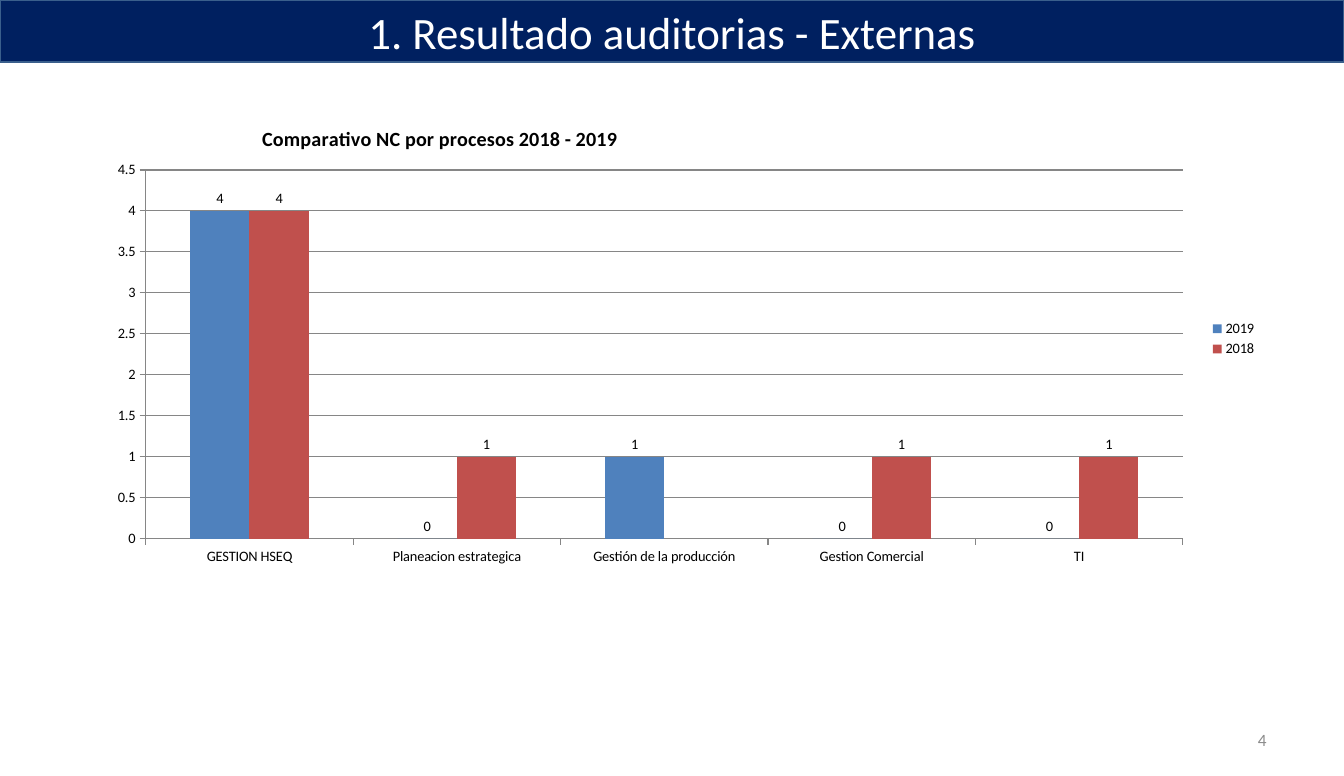
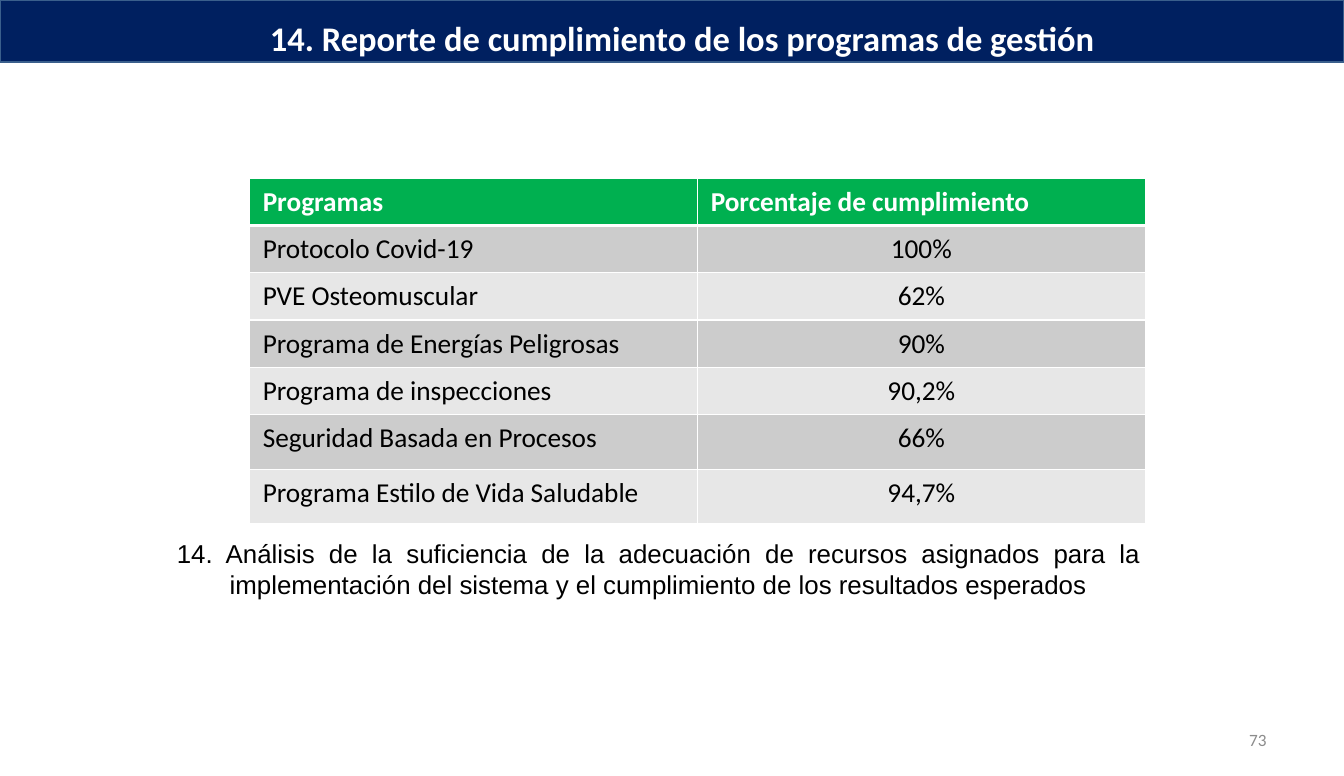
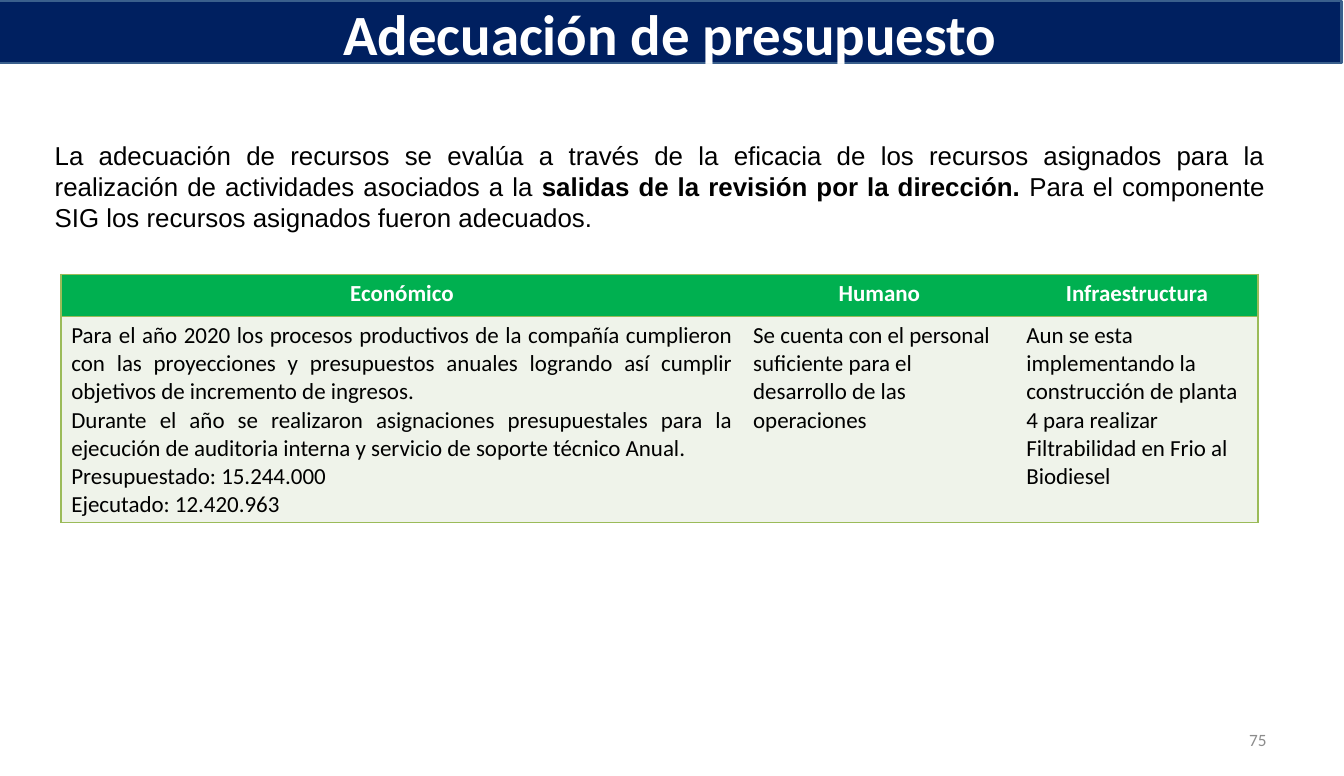
from lxml import etree
from pptx import Presentation
from pptx.chart.data import CategoryChartData
from pptx.dml.color import RGBColor
from pptx.enum.chart import (XL_CHART_TYPE, XL_LABEL_POSITION,
                             XL_LEGEND_POSITION, XL_TICK_MARK)
from pptx.enum.shapes import MSO_SHAPE
from pptx.enum.text import MSO_ANCHOR, PP_ALIGN
from pptx.oxml.ns import qn
from pptx.util import Inches, Pt

LEFT, CENTER, RIGHT, JUSTIFY = (PP_ALIGN.LEFT, PP_ALIGN.CENTER,
                                PP_ALIGN.RIGHT, PP_ALIGN.JUSTIFY)
TOP, MIDDLE = MSO_ANCHOR.TOP, MSO_ANCHOR.MIDDLE
COLUMNS = XL_CHART_TYPE.COLUMN_CLUSTERED
OUT_END = XL_LABEL_POSITION.OUTSIDE_END
LEGEND_RIGHT = XL_LEGEND_POSITION.RIGHT
TICK_OUT = XL_TICK_MARK.OUTSIDE

COLORS = {
    "navy": "002060", "band_line": "3A5F8C", "white": "FFFFFF",
    "black": "000000", "gray": "8C8C8C", "axis": "868686",
    "green": "00B050", "olive": "9BBB59", "pale": "EFF3EA",
    "row_dark": "CCCCCC", "row_light": "E7E7E7",
    "blue": "4F81BD", "red": "C0504D",
}
HEAD, BODY = "Calibri", "Arial"
SLIDE_W, SLIDE_H = 12.99, 7.5
NARROW, WIDE = (0.1, 0.05), (0.13, 0.07)


def rgb(name):
    return RGBColor.from_string(COLORS[name])


def style(font, size, color, name=HEAD, bold=False):
    font.size, font.name, font.bold = Pt(size), name, bold
    font.color.rgb = rgb(color)


def set_margins(target, inset):
    target.margin_left = target.margin_right = Inches(inset[0])
    target.margin_top = target.margin_bottom = Inches(inset[1])


# Shared parts
def add_text(s, box, runs, size, color, name=HEAD, align=LEFT,
             anchor=MIDDLE, inset=NARROW, hanging=0):
    """One paragraph made of (text, bold) runs."""
    tf = s.shapes.add_textbox(*map(Inches, box)).text_frame
    tf.word_wrap = True
    tf.vertical_anchor = anchor
    set_margins(tf, inset)
    p = tf.paragraphs[0]
    p.alignment = align
    if hanging:
        pPr = p._p.get_or_add_pPr()
        pPr.set("marL", str(Inches(hanging)))
        pPr.set("indent", str(-Inches(hanging)))
    for text, bold in runs:
        r = p.add_run()
        r.text = text
        style(r.font, size, color, name, bold)


def add_band(s, left=0, top=0):
    band = s.shapes.add_shape(MSO_SHAPE.RECTANGLE, Inches(left), Inches(top),
                              Inches(SLIDE_W), Inches(0.6))
    band.shadow.inherit = False
    band.fill.solid()
    band.fill.fore_color.rgb = rgb("navy")
    band.line.color.rgb = rgb("band_line")
    band.line.width = Pt(2)


def new_slide(prs, number, title, box, size, bold=True, align=CENTER,
              inset=NARROW, band=(0, 0)):
    s = prs.slides.add_slide(prs.slide_layouts[6])
    add_band(s, *band)
    add_text(s, box, [(title, bold)], size, "white", align=align, inset=inset)
    add_text(s, (9.31, 6.95, 3.03, 0.4), [(str(number), False)], 12, "gray",
             align=RIGHT)
    return s


# Tables
def set_borders(cell, borders):
    """Borders in the order left, right, top, bottom: (color, points) or None."""
    tcPr = cell._tc.get_or_add_tcPr()
    for side, border in zip("LRTB", borders):
        ln = etree.SubElement(tcPr, qn(f"a:ln{side}"))
        if border is None:
            etree.SubElement(ln, qn("a:noFill"))
            continue
        color, width = border
        ln.set("w", str(Pt(width)))
        fill = etree.SubElement(ln, qn("a:solidFill"))
        etree.SubElement(fill, qn("a:srgbClr")).set("val", COLORS[color])


def fill_cell(cell, lines, size, color, bold, align, fill, borders, inset):
    set_borders(cell, borders)
    cell.fill.solid()
    cell.fill.fore_color.rgb = rgb(fill)
    set_margins(cell, inset)
    cell.vertical_anchor = TOP
    cell.text_frame.text = lines
    for p in cell.text_frame.paragraphs:
        p.alignment = align
        for r in p.runs:
            style(r.font, size, color, bold=bold)


def add_grid(s, left, top, widths, heights):
    table = s.shapes.add_table(len(heights), len(widths), Inches(left),
                               Inches(top), Inches(sum(widths)),
                               Inches(sum(heights))).table
    table.first_row = table.horz_banding = False
    for column, width in zip(table.columns, widths):
        column.width = Inches(width)
    for row, height in zip(table.rows, heights):
        row.height = Inches(height)
    return table


def add_program_table(s, left, top, rows):
    heights = [0.46] + [0.45] * 4 + [0.53] * 2
    table = add_grid(s, left, top, [4.33, 4.33], heights)
    thin, thick = ("white", 1), ("white", 3)
    for i, row in enumerate(rows):
        head = i == 0
        fill = "green" if head else "row_dark" if i % 2 else "row_light"
        borders = (thin, thin, thick if i == 1 else thin,
                   thick if head else thin)
        for j, text in enumerate(row):
            fill_cell(table.cell(i, j), text, 19,
                      "white" if head else "black", head,
                      CENTER if j and not head else LEFT, fill, borders, WIDE)


def add_resource_table(s, left, top, rows):
    widths = [6.59, 2.64, 2.34]
    table = add_grid(s, left, top, widths, [0.41, 1.99])
    edge = ("olive", 1)
    for i, row in enumerate(rows):
        head = i == 0
        for j, text in enumerate(row):
            borders = (edge if j == 0 else None,
                       edge if j == len(widths) - 1 else None, edge, edge)
            align = CENTER if head else LEFT if j else JUSTIFY
            fill_cell(table.cell(i, j), text, 16,
                      "white" if head else "black", head, align,
                      "green" if head else "pale", borders, NARROW)


# Chart
def set_layout(parent, index, **values):
    """Place a chart part by fractions of the chart box."""
    for old in parent.findall(qn("c:layout")):
        parent.remove(old)
    layout = etree.Element(qn("c:layout"))
    manual = etree.SubElement(layout, qn("c:manualLayout"))
    for key, value in values.items():
        etree.SubElement(manual, qn(f"c:{key}")).set("val", str(value))
    parent.insert(index, layout)


def add_comparison_chart(s, box, title, cats, series):
    data = CategoryChartData()
    data.categories = cats
    for name, values, _ in series:
        data.add_series(name, values)
    chart = s.shapes.add_chart(COLUMNS, *map(Inches, box), data).chart
    style(chart.font, 10, "black")

    chart.has_title = True
    chart.chart_title.text_frame.text = title
    style(chart.chart_title.text_frame.paragraphs[0].runs[0].font, 14,
          "black", bold=True)
    set_layout(chart.chart_title._element, 1, xMode="edge", yMode="edge",
               x=0.14, y=0.04)
    set_layout(chart._chartSpace.chart.plotArea, 0, layoutTarget="inner",
               xMode="edge", yMode="edge", x=0.044, y=0.143, w=0.884, h=0.78)

    chart.has_legend = True
    chart.legend.position = LEGEND_RIGHT
    chart.legend.include_in_layout = False

    plot = chart.plots[0]
    plot.gap_width, plot.overlap = 150, 0
    plot.vary_by_categories = False
    plot.has_data_labels = True
    plot.data_labels.show_value = True
    plot.data_labels.position = OUT_END
    for bars, (_, _, color) in zip(plot.series, series):
        bars.format.fill.solid()
        bars.format.fill.fore_color.rgb = rgb(color)

    value_axis = chart.value_axis
    value_axis.minimum_scale, value_axis.maximum_scale = 0, 4.5
    value_axis.major_unit = 0.5
    value_axis.has_major_gridlines = True
    lines = [value_axis.major_gridlines.format.line]
    for axis in (value_axis, chart.category_axis):
        axis.major_tick_mark = TICK_OUT
        lines.append(axis.format.line)
    for line in lines:
        line.color.rgb = rgb("axis")
        line.width = Pt(0.75)


# Slides
def audit_slide(prs):
    s = new_slide(prs, 4, "1. Resultado auditorias - Externas",
                  (0.43, -0.11, 12.13, 0.83), 31.2, bold=False)
    add_comparison_chart(
        s, (0.91, 0.99, 11.34, 4.57), "Comparativo NC por procesos 2018 - 2019",
        ["GESTION HSEQ", "Planeacion estrategica", "Gestión de la producción",
         "Gestion Comercial", "TI"],
        [("2019", (4, 0, 1, 0, 0), "blue"),
         ("2018", (4, 1, None, 1, 1), "red")])


def program_slide(prs):
    s = new_slide(prs, 73,
                  "14. Reporte de cumplimiento de los programas de gestión",
                  (2.48, -0.12, 8.66, 0.97), 24, align=LEFT, inset=WIDE)
    add_text(s, (1.58, 5.01, 9.57, 0.97),
             [("14. Análisis de la suficiencia de la adecuación de recursos "
               "asignados para la implementación del sistema y el "
               "cumplimiento de los resultados esperados", False)],
             18, "black", BODY, JUSTIFY, inset=WIDE, hanging=0.51)
    add_program_table(s, 2.41, 1.72, [
        ("Programas", "Porcentaje de cumplimiento"),
        ("Protocolo Covid-19", "100%"),
        ("PVE Osteomuscular", "62%"),
        ("Programa de Energías Peligrosas", "90%"),
        ("Programa de inspecciones", "90,2%"),
        ("Seguridad Basada en Procesos", "66%"),
        ("Programa Estilo de Vida Saludable", "94,7%"),
    ])


def budget_slide(prs):
    s = new_slide(prs, 75, "Adecuación de presupuesto",
                  (0.63, 0.01, 11.69, 0.61), 39.6, band=(-0.02, 0.01))
    add_resource_table(s, 0.59, 2.65, [
        ("Económico", "Humano", "Infraestructura"),
        ("Para el año 2020 los procesos productivos de la compañía cumplieron "
         "con las proyecciones y presupuestos anuales logrando así cumplir "
         "objetivos de incremento de ingresos.\n"
         "Durante el año se realizaron asignaciones presupuestales para la "
         "ejecución de auditoria interna y servicio de soporte técnico Anual.\n"
         "Presupuestado: 15.244.000\n"
         "Ejecutado: 12.420.963",
         "Se cuenta con el personal suficiente para el desarrollo de las "
         "operaciones",
         "Aun se esta implementando la construcción de planta 4 para realizar "
         "Filtrabilidad en Frio al Biodiesel"),
    ])
    add_text(s, (0.43, 1.3, 11.89, 1.01),
             [("La adecuación de recursos se evalúa a través de la eficacia de "
               "los recursos asignados para la realización de actividades "
               "asociados a la ", False),
              ("salidas de la revisión por la dirección. ", True),
              ("Para el componente SIG los recursos asignados fueron "
               "adecuados.", False)],
             18, "black", BODY, JUSTIFY, TOP)


def main():
    prs = Presentation()
    prs.slide_width, prs.slide_height = Inches(SLIDE_W), Inches(SLIDE_H)
    for build in (audit_slide, program_slide, budget_slide):
        build(prs)
    prs.save("out.pptx")


if __name__ == "__main__":
    main()
